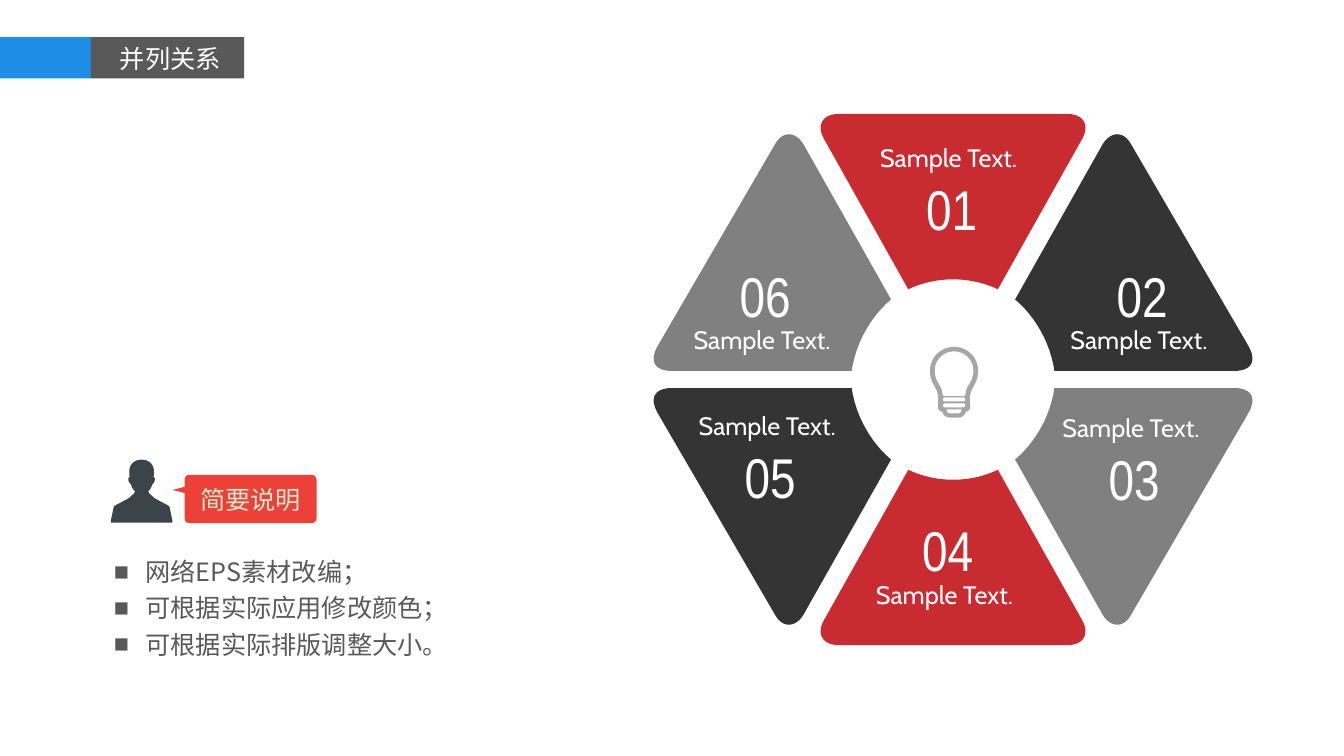
import pptx
import pptx.util
import pptx.dml.color
import pptx.enum.shapes
import pptx.enum.text
import pptx.oxml.ns
from lxml import etree

Pt = pptx.util.Pt
RGB = pptx.dml.color.RGBColor
SHAPE = pptx.enum.shapes.MSO_SHAPE
ALIGN = pptx.enum.text.PP_ALIGN
ANCHOR = pptx.enum.text.MSO_ANCHOR
FIT = pptx.enum.text.MSO_AUTO_SIZE
qn = pptx.oxml.ns.qn

WHITE = RGB(0xFF, 0xFF, 0xFF)
BLUE = RGB(0x1D, 0x8D, 0xE5)
TEXT_GRAY = RGB(0x59, 0x59, 0x59)
SLATE = RGB(0x3B, 0x44, 0x49)
CALLOUT_RED = RGB(0xED, 0x41, 0x37)
PALE_GREEN = RGB(0xCC, 0xE8, 0xCF)
RED = RGB(0xC8, 0x2C, 0x31)
BLACK = RGB(0x34, 0x34, 0x34)
GRAY = RGB(0x80, 0x80, 0x80)
BULB_GRAY = RGB(0xA6, 0xA6, 0xA6)
CJK = "Noto Sans CJK SC"

# Outlines: a pair is a line to a point, six numbers are a Bezier curve.
SIDE_WEDGE = [(72.4, 6.1), (200.5, 6.1), (212.8, 6.1, 217.1, 12.6, 211.3, 23.4),
              (127.1, 168.1), (122, 177.5, 112.7, 177.5, 106.9, 168.1),
              (44.3, 57.2), (58.7, 45, 69.5, 26.3, 72.4, 6.1)]
# Right halves, starting and ending on the axis of symmetry.
MIDDLE_WEDGE = [(0, 71.6), (11, 71.6, 22, 69.2, 32, 64.5), (92.5, 172.4),
                (97.6, 181.8, 93.2, 189.7, 81.7, 189.7), (0, 189.7)]
PERSON = [(0, 0), (5, 0, 9, 3, 8.8, 9), (8.6, 12.5), (10.5, 13, 9, 17, 7.6, 17.5),
          (7, 20, 6, 21.5, 4.7, 22.5), (5.4, 24), (9, 27.4), (17, 31.7),
          (20.5, 33.2, 20, 34.5, 20.2, 35), (22, 43.5), (22, 45), (0, 45)]
BULB = [
    [(0, 0), (9.5, 0, 17.2, 7.5, 17.2, 17), (17.2, 27, 11.3, 28.5, 11.3, 37),
     (11.3, 41), (12.3, 44, 10.5, 46, 8.5, 46.2), (7, 50.5, 4.5, 50.5, 0, 50.5)],
    [(0, 3.2), (7.5, 3.2, 13.8, 9, 13.8, 17), (13.8, 25, 9, 27, 8.3, 33),
     (8, 35, 7.5, 35.2, 6.5, 35.2), (0, 35.2)],
    *[[(0, y), (6.5, y), (8.6, y, 8.6, y + 2.9, 6.5, y + 2.9), (0, y + 2.9)]
      for y in (36, 40.3)],
    [(0, 44.6), (5.4, 44.6), (5.4, 46, 4.5, 47.5, 3, 47.5), (0, 47.5)],
]


def flatten(outline, steps=12):
    """Turn an outline of lines and Bezier curves into a list of points."""
    points = []
    for seg in outline:
        if len(seg) == 2:
            points.append(seg)
            continue
        ctrl = [points[-1], seg[:2], seg[2:4], seg[4:]]
        for i in range(1, steps + 1):
            t = i / steps
            weights = ((1 - t) ** 3, 3 * t * (1 - t) ** 2, 3 * t * t * (1 - t), t ** 3)
            points.append(tuple(sum(w * c[axis] for w, c in zip(weights, ctrl))
                                for axis in (0, 1)))
    return points


def mirrored(half):
    """Complete a right half with its reflection."""
    points = flatten(half)
    return points + [(-x, y) for x, y in reversed(points[1:-1])]


class Deck:
    def __init__(self):
        self.prs = pptx.Presentation()
        self.prs.slide_width, self.prs.slide_height = Pt(960), Pt(540)
        self.s = self.prs.slides.add_slide(self.prs.slide_layouts[1])

    def paint(self, sp, color):
        sp.shadow.inherit = False
        sp.fill.solid()
        sp.fill.fore_color.rgb = color
        sp.line.fill.background()
        return sp

    def place(self, sp, x, y, w, h):
        sp.left, sp.top, sp.width, sp.height = Pt(x), Pt(y), Pt(w), Pt(h)

    def shape(self, kind, x, y, w, h, color):
        sp = self.s.shapes.add_shape(kind, Pt(x), Pt(y), Pt(w), Pt(h))
        return self.paint(sp, color)

    def freeform(self, contours, x, y, color, sx=1, sy=1):
        """Draw contours around the point x, y, flipped by the signs sx and sy."""
        contours = [[(Pt(x + sx * px), Pt(y + sy * py)) for px, py in c] for c in contours]
        builder = self.s.shapes.build_freeform(*contours[0][0])
        for i, contour in enumerate(contours):
            if i:
                builder.move_to(*contour[0])
            builder.add_line_segments(contour[1:], close=True)
        return self.paint(builder.convert_to_shape(), color)

    def run(self, p, text, size, font, color):
        r = p.add_run()
        r.text = text
        r.font.size, r.font.name = Pt(size), font
        r.font.color.rgb = color
        if not text.isascii():
            etree.SubElement(r.font._element, qn("a:ea"), typeface=CJK)

    def label(self, text, x, y, w, h, size, font):
        sp = self.s.shapes.add_textbox(Pt(x), Pt(y), Pt(w), Pt(h))
        tf = sp.text_frame
        tf.word_wrap = False
        tf.auto_size = FIT.SHAPE_TO_FIT_TEXT
        self.run(tf.paragraphs[0], text, size, font, WHITE)

    def title(self, text, x, y, w, h):
        sp = self.s.shapes.title
        self.place(sp, x, y, w, h)
        tf = sp.text_frame
        tf.word_wrap = False
        tf.auto_size = FIT.NONE
        tf.vertical_anchor = ANCHOR.TOP
        p = tf.paragraphs[0]
        p.alignment = ALIGN.LEFT
        self.run(p, text, 18, "Arial", WHITE)

    def bullets(self, items, x, y, w, h):
        sp = self.s.placeholders[1]
        self.place(sp, x, y, w, h)
        tf = sp.text_frame
        tf.word_wrap = True
        tf.auto_size = FIT.NONE
        for i, item in enumerate(items):
            p = tf.add_paragraph() if i else tf.paragraphs[0]
            pPr = p._p.get_or_add_pPr()
            pPr.set("marL", str(Pt(22.5)))
            pPr.set("indent", str(-Pt(22.5)))
            etree.SubElement(pPr, qn("a:buFont"), typeface="Arial")
            etree.SubElement(pPr, qn("a:buChar"), char="■")
            p.line_spacing = 1.2
            p.space_before = Pt(0)
            self.run(p, item, 18, CJK, TEXT_GRAY)

    def callout(self, text, x, y, w, h):
        sp = self.shape(SHAPE.ROUNDED_RECTANGLE, x, y, w, h, CALLOUT_RED)
        sp.adjustments[0] = 0.1
        tf = sp.text_frame
        tf.margin_left = tf.margin_top = tf.margin_right = tf.margin_bottom = 0
        tf.vertical_anchor = ANCHOR.MIDDLE
        p = tf.paragraphs[0]
        p.alignment = ALIGN.CENTER
        self.run(p, text, 18, CJK, PALE_GREEN)
        tip = self.shape(SHAPE.ISOSCELES_TRIANGLE, x - 5.8, y + 5.1, 5.8, 11.5, CALLOUT_RED)
        tip.rotation = 270


def main():
    deck = Deck()
    deck.shape(SHAPE.RECTANGLE, 0, 26.6, 65, 29.5, BLUE)
    band = deck.shape(SHAPE.RECTANGLE, 65, 26.6, 109.4, 29.5, TEXT_GRAY)
    title = deck.s.shapes.title
    band._element.addnext(title._element)
    deck.title("并列关系", 78.5, 27.4, 87, 29)

    deck.freeform([mirrored(PERSON)], 101.2, 328.4, SLATE)
    deck.callout("简要说明", 131.8, 339.1, 94.3, 34.6)
    deck.bullets(["网络EPS素材改编；", "可根据实际应用修改颜色；", "可根据实际排版调整大小。"],
                 74.2, 389.5, 280, 85.7)

    cx, cy = 680.8, 271.1
    side, middle = flatten(SIDE_WEDGE), mirrored(MIDDLE_WEDGE)
    # number, wedge, flips, colour, number position, caption above the number
    wedges = [
        ("01", middle, 1, -1, RED, 654.5, 121, True),
        ("02", side, 1, -1, BLACK, 790.5, 182.9, False),
        ("03", side, 1, 1, GRAY, 784.8, 313.9, True),
        ("04", middle, 1, 1, RED, 651.6, 365, False),
        ("05", side, -1, 1, BLACK, 524.9, 312.5, True),
        ("06", side, -1, -1, GRAY, 521.3, 182.9, False),
    ]
    for number, outline, sx, sy, color, x, y, above in wedges:
        deck.freeform([outline], cx, cy, color, sx, sy)
        deck.label(number, x, y, 56, 55.6, 40, "Arial Narrow")
        deck.label("Sample Text.", x - 33, y + (-23 if above else 45.4), 118, 29, 18, "Cabin")
    deck.freeform([mirrored(half) for half in BULB], 681.5, 247.8, BULB_GRAY)
    deck.prs.save("out.pptx")


if __name__ == "__main__":
    main()
